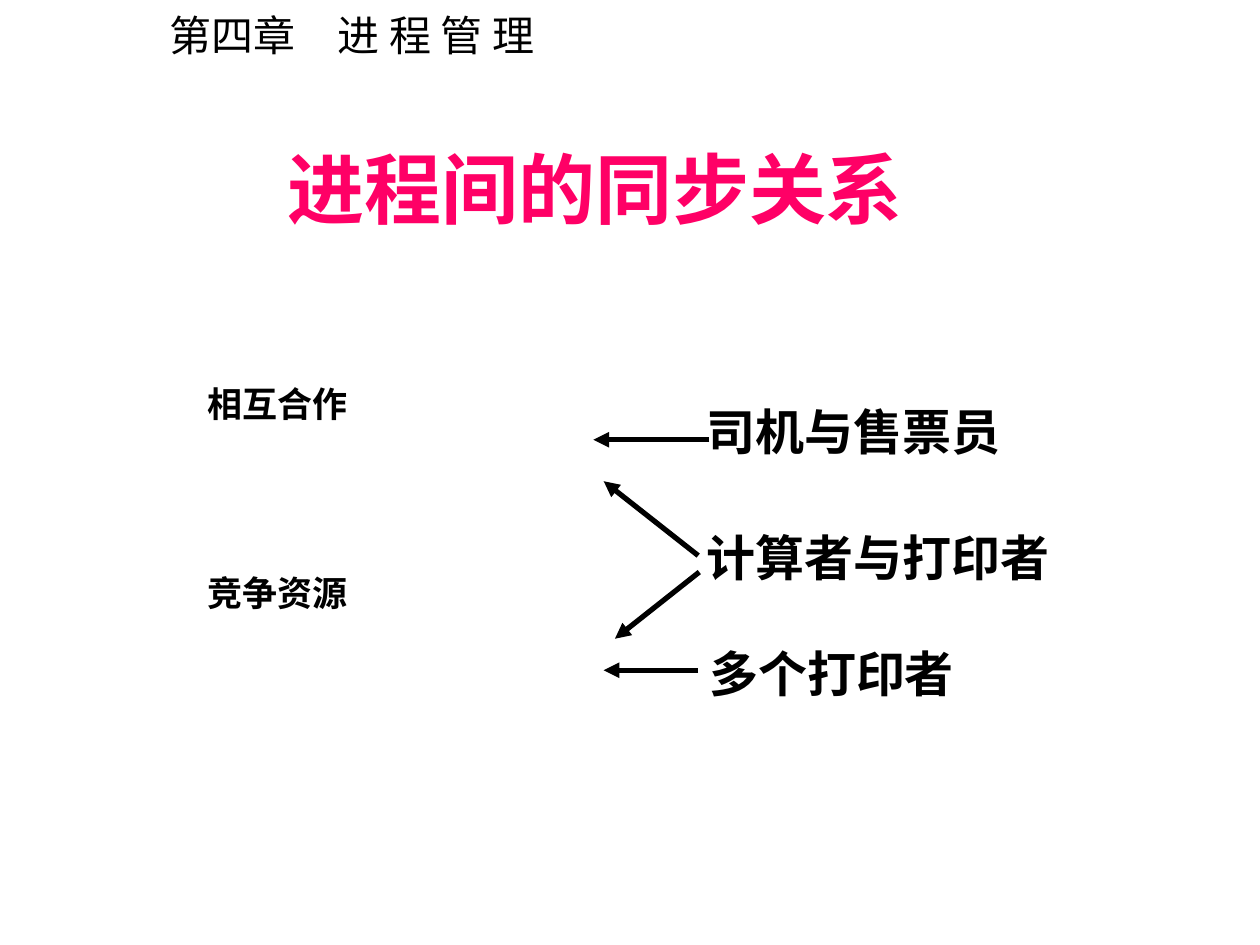
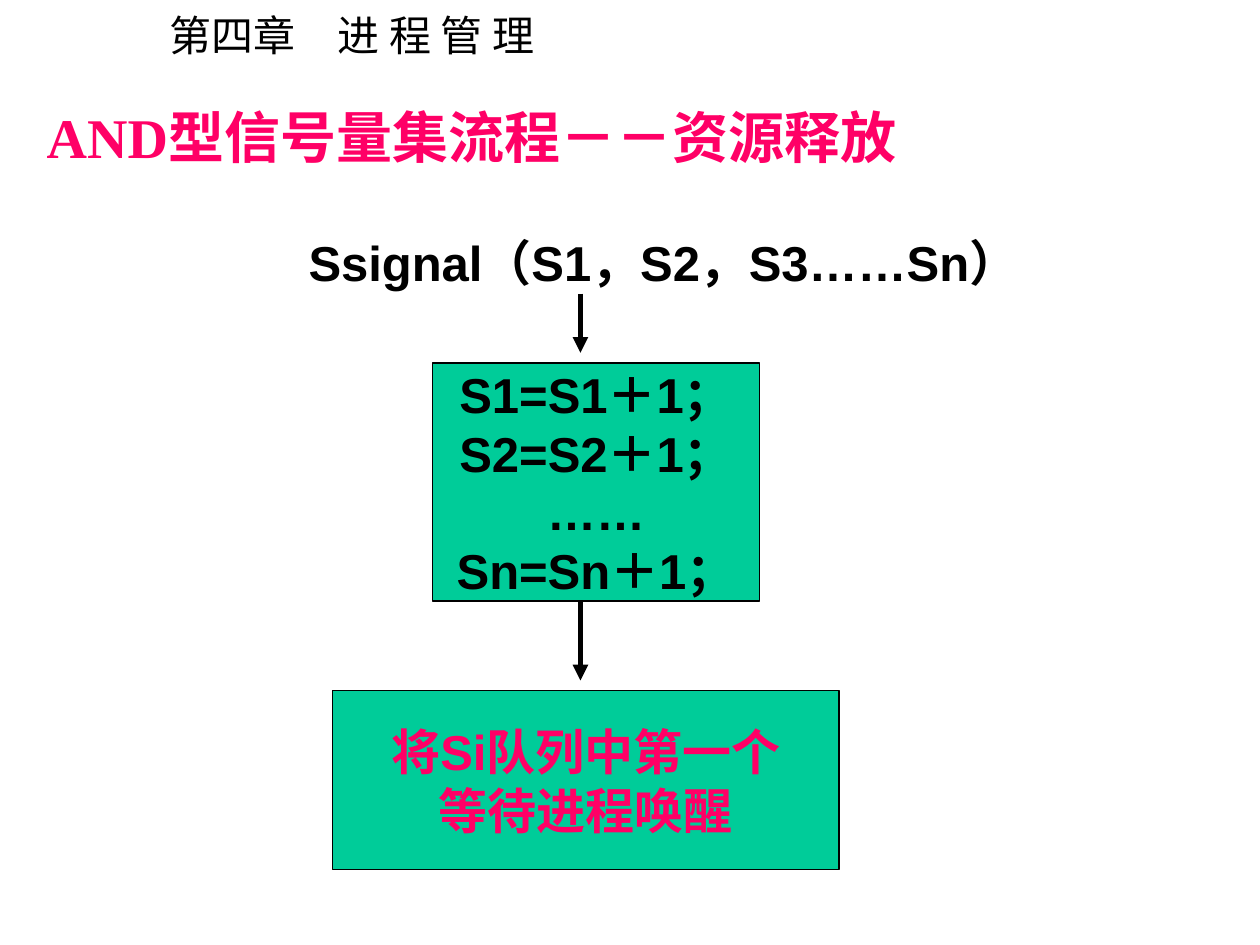
"""Builds two slides on process synchronisation and AND semaphore release."""
import pptx
import pptx.util
import pptx.dml.color
import pptx.enum.shapes
import pptx.enum.text
import pptx.oxml
import pptx.oxml.ns

Pt = pptx.util.Pt
ALIGN = pptx.enum.text.PP_ALIGN
ANCHOR = pptx.enum.text.MSO_ANCHOR
HEX = {"ink": "000000", "pink": "FF0066", "green": "00CC99"}
RGB = {k: pptx.dml.color.RGBColor.from_string(v) for k, v in HEX.items()}
HAN = "Noto Sans CJK SC"
NS = pptx.oxml.ns.nsdecls("a")


def write(frame, lines, size, hue="ink", face="Arial", bold=True,
          align=ALIGN.LEFT, anchor=ANCHOR.TOP, wrap=False):
    frame.word_wrap = wrap
    frame.auto_size = pptx.enum.text.MSO_AUTO_SIZE.NONE
    frame.vertical_anchor = anchor
    for i, line in enumerate(lines):
        para = frame.add_paragraph() if i else frame.paragraphs[0]
        para.alignment = align
        para.space_before = Pt(0)
        run = para.add_run()
        run.text = line
        font = run.font
        font.size, font.bold, font.name = Pt(size), bold, face
        font.color.rgb = RGB[hue]
        east = pptx.oxml.parse_xml(f'<a:ea {NS} typeface="{HAN}"/>')
        run._r.rPr.find(pptx.oxml.ns.qn("a:latin")).addnext(east)


def arrow(slide, x1, y1, x2, y2):
    link = slide.shapes.add_connector(
        pptx.enum.shapes.MSO_CONNECTOR.STRAIGHT, Pt(x1), Pt(y1), Pt(x2), Pt(y2))
    link.line.color.rgb = RGB["ink"]
    link.line.width = Pt(3)
    link.line._get_or_add_ln().append(
        pptx.oxml.parse_xml(f'<a:tailEnd {NS} type="triangle"/>'))
    link._element.spPr.append(pptx.oxml.parse_xml(f"<a:effectLst {NS}/>"))


deck = pptx.Presentation()
deck.slide_width, deck.slide_height = Pt(720), Pt(540)

heads = [
    ("进程间的同步关系", 0, 82.8, 49, 44, ALIGN.CENTER, ANCHOR.MIDDLE),
    ("AND型信号量集流程－－资源释放", 19.5, 54.7, 50, 32, ALIGN.LEFT, ANCHOR.TOP),
]
pages = []
for text, x, y, high, size, align, anchor in heads:
    slide = deck.slides.add_slide(deck.slide_layouts[5])
    title = slide.shapes.title
    title.left, title.top, title.width, title.height = Pt(x), Pt(y), Pt(680.4), Pt(high)
    write(title.text_frame, [text], size, "pink", "Times New Roman",
          align=align, anchor=anchor, wrap=True)
    band = slide.shapes.add_textbox(Pt(90), Pt(2), Pt(227.5), Pt(36))
    write(band.text_frame, ["第四章　进 程 管 理"], 24, face=HAN, bold=False)
    pages.append(slide)
sync, free = pages

labels = [
    (sync, "相互合作", 111.6, 215.3, 216, 60, 20, HAN),
    (sync, "竞争资源", 111.6, 323.3, 216, 72, 20, HAN),
    (sync, "司机与售票员", 396.7, 226, 182, 41, 28, "Arial"),
    (sync, "计算者与打印者", 396.7, 298, 210, 41, 28, "Arial"),
    (sync, "多个打印者", 398.2, 364.3, 154, 41, 28, "Arial"),
    (free, "Ssignal（S1，S2，S3……Sn）", 169.2, 129.6, 466.6, 41, 28, "Arial"),
]
for slide, text, x, y, wide, high, size, face in labels:
    label = slide.shapes.add_textbox(Pt(x), Pt(y), Pt(wide), Pt(high))
    write(label.text_frame, [text], size, face=face)

steps = [
    (["S1=S1＋1；", "S2=S2＋1；", "……", "Sn=Sn＋1；"], "ink", 247, 207.4, 187.2, 136),
    (["将Si队列中第一个", "等待进程唤醒"], "pink", 190, 394.6, 289.4, 102.2),
]
for lines, hue, x, y, wide, high in steps:
    step = free.shapes.add_shape(pptx.enum.shapes.MSO_SHAPE.RECTANGLE,
                                 Pt(x), Pt(y), Pt(wide), Pt(high))
    step.shadow.inherit = False
    step.fill.solid()
    step.fill.fore_color.rgb = RGB["green"]
    step.line.color.rgb = RGB["ink"]
    step.line.width = Pt(0.75)
    write(step.text_frame, lines, 28, hue, align=ALIGN.CENTER, anchor=ANCHOR.MIDDLE)

arrows = [
    (sync, 405.4, 251.3, 339.1, 251.3),
    (sync, 399, 383, 345, 383),
    (sync, 399, 317.5, 345, 275),
    (sync, 399.6, 326.9, 351.4, 365),
    (free, 331.7, 167.8, 331.7, 201.6),
    (free, 331.7, 343.4, 331.7, 388.8),
]
for ends in arrows:
    arrow(*ends)

deck.save("out.pptx")
